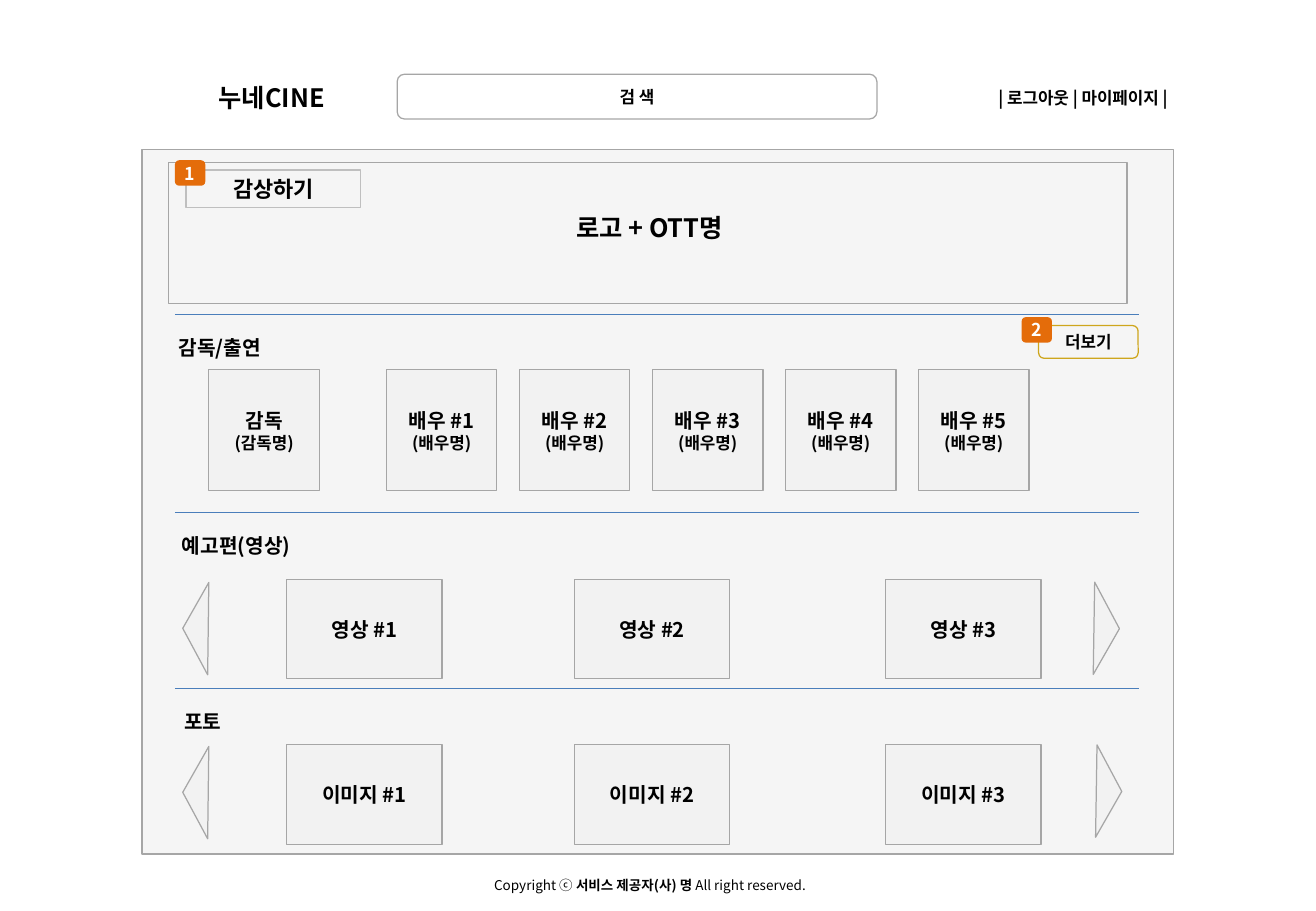
from lxml.etree import SubElement
from pptx import Presentation
from pptx.dml.color import RGBColor
from pptx.enum.shapes import MSO_CONNECTOR, MSO_SHAPE
from pptx.enum.text import MSO_ANCHOR, MSO_AUTO_SIZE, PP_ALIGN
from pptx.oxml.ns import qn
from pptx.util import Pt

FONT = "Noto Sans CJK KR"
COLORS = {
    "text": "000000",
    "white": "FFFFFF",
    "panel": "F2F2F2",
    "outline": "A6A6A6",
    "button": "BFBFBF",
    "more": "CEA61D",
    "divider": "4A7EBB",
    "badge": "E46C0A",
}
CARD_LEFTS = (170, 340.5, 525)


def color(name):
    """Return the named colour."""
    return RGBColor.from_string(COLORS[name])


def points(box):
    """Convert a box of plain numbers to lengths in points."""
    return [Pt(value) for value in box]


def set_format(target, values):
    """Set each attribute named in a dict of format values."""
    for name, value in values.items():
        setattr(target, name, value)


def write_text(shape, lines, align=PP_ALIGN.CENTER, ink="text", **frame_format):
    """Write lines of (text, size, bold) runs into a shape."""
    frame = shape.text_frame
    set_format(frame, {
        "word_wrap": True,
        "auto_size": MSO_AUTO_SIZE.NONE,
        "vertical_anchor": MSO_ANCHOR.MIDDLE,
        **frame_format,
    })
    for index, line in enumerate(lines):
        paragraph = frame.add_paragraph() if index else frame.paragraphs[0]
        paragraph.alignment = align
        for text, size, bold in line:
            run = paragraph.add_run()
            run.text = text
            run.font.color.rgb = color(ink)
            set_format(run.font, {"size": Pt(size), "bold": bold, "name": FONT})
            SubElement(run.font._element, qn("a:ea"), typeface=FONT)


def add_label(slide, box, runs, **text_format):
    """Add a text box holding one line."""
    shape = slide.shapes.add_textbox(*points(box))
    write_text(shape, [runs], **text_format)


def add_box(slide, kind, box, fill=None, line="outline", width=0.75, opacity=100):
    """Add a preset shape with an optional fill and outline."""
    shape = slide.shapes.add_shape(kind, *points(box))
    shape.shadow.inherit = False
    if fill:
        shape.fill.solid()
        shape.fill.fore_color.rgb = color(fill)
        if opacity < 100:
            srgb = shape.fill._xPr.find(".//" + qn("a:srgbClr"))
            SubElement(srgb, qn("a:alpha"), val=str(opacity * 1000))
    else:
        shape.fill.background()
    if line:
        shape.line.color.rgb = color(line)
        shape.line.width = Pt(width)
    else:
        shape.line.fill.background()
    return shape


def add_panel(slide, box, kind=MSO_SHAPE.RECTANGLE):
    """Add a translucent grey shape."""
    return add_box(slide, kind, box, fill="panel", opacity=70)


def add_divider(slide, top):
    """Add a horizontal section line."""
    connector = slide.shapes.add_connector(
        MSO_CONNECTOR.STRAIGHT, *points((103.7, top, 675.4, top)))
    connector.line.color.rgb = color("divider")
    connector.line.width = Pt(0.75)
    SubElement(connector._element.spPr, qn("a:effectLst"))


def add_person(slide, left, role, name):
    """Add a card for a director or an actor."""
    card = add_panel(slide, (left, 219, 65.5, 72))
    write_text(card, [[(role, 12, True)], [(name, 10, True)]])


def add_carousel(slide, top, item, arrow_top, right_arrow):
    """Add a row of numbered cards between two arrows."""
    for number, left in enumerate(CARD_LEFTS, 1):
        card = add_panel(slide, (left, top, 92, 59))
        write_text(card, [[(f"{item} #{number}", 12, True)]])
    for (left, arrow), rotation in zip(((88.5, arrow_top), right_arrow), (270.7, 90.9)):
        triangle = add_panel(slide, (left, arrow, 54.7, 15.1), MSO_SHAPE.ISOSCELES_TRIANGLE)
        triangle.rotation = rotation


def add_badge(slide, left, top, number):
    """Add a numbered orange marker."""
    badge = add_box(slide, MSO_SHAPE.ROUNDED_RECTANGLE, (left, top, 18, 15.1),
                    fill="badge", line=None)
    write_text(badge, [[(number, 10.5, True)]], ink="white",
               margin_left=0, margin_right=0)


def add_header(slide):
    """Add the site name, search field and account menu."""
    title = slide.shapes.title
    set_format(title, dict(zip(("left", "top", "width", "height"),
                               points((122.4, 45.4, 81.4, 25.2)))))
    write_text(title, [[("누네CINE", 15, True)]], align=PP_ALIGN.LEFT,
               vertical_anchor=MSO_ANCHOR.TOP, word_wrap=False)
    search = add_box(slide, MSO_SHAPE.ROUNDED_RECTANGLE, (235.4, 44, 284.4, 26.6))
    write_text(search, [[("검 색", 10, True)]])
    add_label(slide, (548, 48.2, 151.2, 18.7), [("| 로그아웃 | 마이페이지 |", 10, True)],
              align=PP_ALIGN.RIGHT, vertical_anchor=MSO_ANCHOR.TOP)


def add_hero(slide):
    """Add the banner with its watch button."""
    add_box(slide, MSO_SHAPE.RECTANGLE, (100, 96.5, 568, 83.5))
    watch = add_box(slide, MSO_SHAPE.RECTANGLE, (110.2, 100.8, 103.7, 22.3),
                    line="button", width=0)
    write_text(watch, [[("감상하기", 13, True)]], vertical_anchor=MSO_ANCHOR.TOP)
    add_label(slide, (301, 122.4, 167.8, 25.2), [("로고 + OTT명", 15, True)],
              vertical_anchor=MSO_ANCHOR.TOP)


def add_cast(slide):
    """Add the director, the actors and the more button."""
    more = add_box(slide, MSO_SHAPE.ROUNDED_RECTANGLE, (615.6, 193, 59, 19.4),
                   line="more", width=0)
    write_text(more, [[("더보기", 10, True)]])
    add_person(slide, 123.8, "감독", "(감독명)")
    for index in range(5):
        add_person(slide, 229 + 78.85 * index, f"배우 #{index + 1}", "(배우명)")


def main():
    """Build the film detail page and save it."""
    presentation = Presentation()
    set_format(presentation, {"slide_width": Pt(780), "slide_height": Pt(540)})
    slide = presentation.slides.add_slide(presentation.slide_layouts[5])
    add_header(slide)
    add_panel(slide, (84.2, 88.6, 611.3, 417.6))
    add_hero(slide)
    sections = (
        ("감독/출연", 186.5, 79.2),
        ("예고편(영상)", 303.6, 98.6),
        ("포토", 408.2, 59),
    )
    for heading, top, width in sections:
        add_divider(slide, top)
        add_label(slide, (90.7, top + 6.5, width, 26), [(heading, 12, True)])
    add_cast(slide)
    add_carousel(slide, 343.4, "영상", 365, (628.6, 365))
    add_carousel(slide, 441.4, "이미지", 462.2, (630, 461.5))
    add_badge(slide, 103.7, 95, "1")
    add_badge(slide, 605.5, 188, "2")
    add_label(slide, (285.8, 516.2, 208, 17.3),
              [("Copyright ⓒ ", 8, False), ("서비스 제공자(사) 명", 8, True),
               (" All right reserved.", 8, False)],
              align=PP_ALIGN.LEFT, vertical_anchor=MSO_ANCHOR.TOP)
    presentation.save("out.pptx")


if __name__ == "__main__":
    main()
